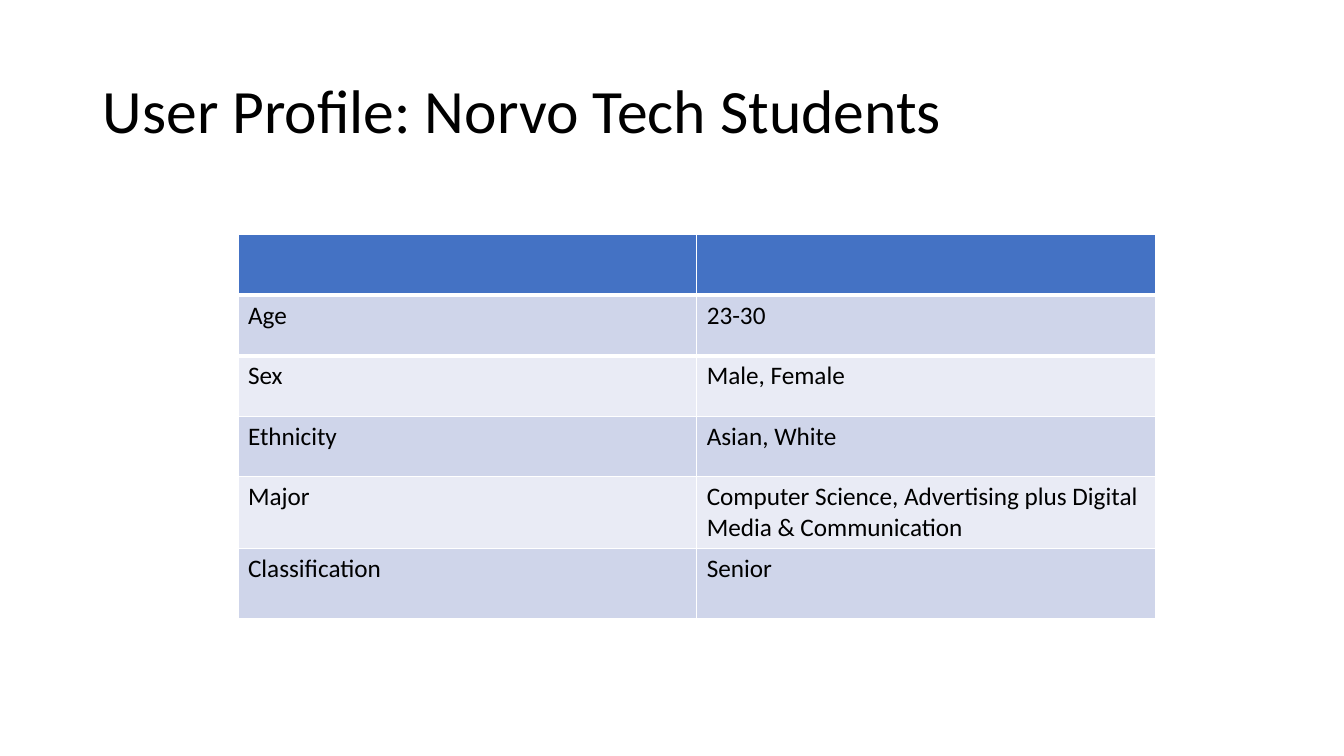
from lxml import etree
from pptx import Presentation
from pptx.dml.color import RGBColor
from pptx.enum import text
from pptx.oxml import ns
from pptx.util import Inches, Pt

COLORS = {
    "text": "000000",
    "rule": "FFFFFF",
    "header": "4472C4",
    "odd": "CFD5EA",
    "even": "E9EBF5",
}
PROFILE = [
    ("Age", "23-30"),
    ("Sex", "Male, Female"),
    ("Ethnicity", "Asian, White"),
    ("Major", "Computer Science, Advertising plus Digital Media & Communication"),
    ("Classification", "Senior"),
]
ROW_HEIGHTS = [0.6] * 4 + [0.7] * 2


def add_run(paragraph, words, size):
    run = paragraph.add_run()
    run.text = words
    run.font.name = "Calibri"
    run.font.size = Pt(size)
    run.font.bold = False
    run.font.color.rgb = RGBColor.from_string(COLORS["text"])


def rule_edge(cell, edge, points):
    """Draw one cell border; call before filling, as borders precede the fill."""
    line = etree.SubElement(cell._tc.get_or_add_tcPr(), ns.qn(f"a:{edge}"), w=str(Pt(points)))
    fill = etree.SubElement(line, ns.qn("a:solidFill"))
    etree.SubElement(fill, ns.qn("a:srgbClr"), val=COLORS["rule"])


prs = Presentation()
prs.slide_width, prs.slide_height = Inches(13.33), Inches(7.5)
slide = prs.slides.add_slide(prs.slide_layouts[5])

# Title
title = slide.shapes.title
title.left, title.top = Inches(0.92), Inches(0.4)
title.width, title.height = Inches(11.5), Inches(1.45)
title.text_frame.vertical_anchor = text.MSO_ANCHOR.MIDDLE
heading = title.text_frame.paragraphs[0]
heading.alignment = text.PP_ALIGN.LEFT
heading.line_spacing = 0.9
add_run(heading, "User Profile: Norvo Tech Students", 44)

# Profile table: the default table style supplies the thin white rules
profile = slide.shapes.add_table(
    len(ROW_HEIGHTS), 2, Inches(2.36), Inches(2.33), Inches(9.1), Inches(3.8)).table
for row, height in zip(profile.rows, ROW_HEIGHTS):
    row.height = Inches(height)

for header in profile.rows[0].cells:
    rule_edge(header, "lnB", 3)
    header.fill.solid()
    header.fill.fore_color.rgb = RGBColor.from_string(COLORS["header"])

for number, entry in enumerate(PROFILE, start=1):
    band = COLORS["odd" if number % 2 else "even"]
    for cell, words in zip(profile.rows[number].cells, entry):
        if number == 1:
            rule_edge(cell, "lnT", 3)
        cell.fill.solid()
        cell.fill.fore_color.rgb = RGBColor.from_string(band)
        add_run(cell.text_frame.paragraphs[0], words, 18)

prs.save("out.pptx")
